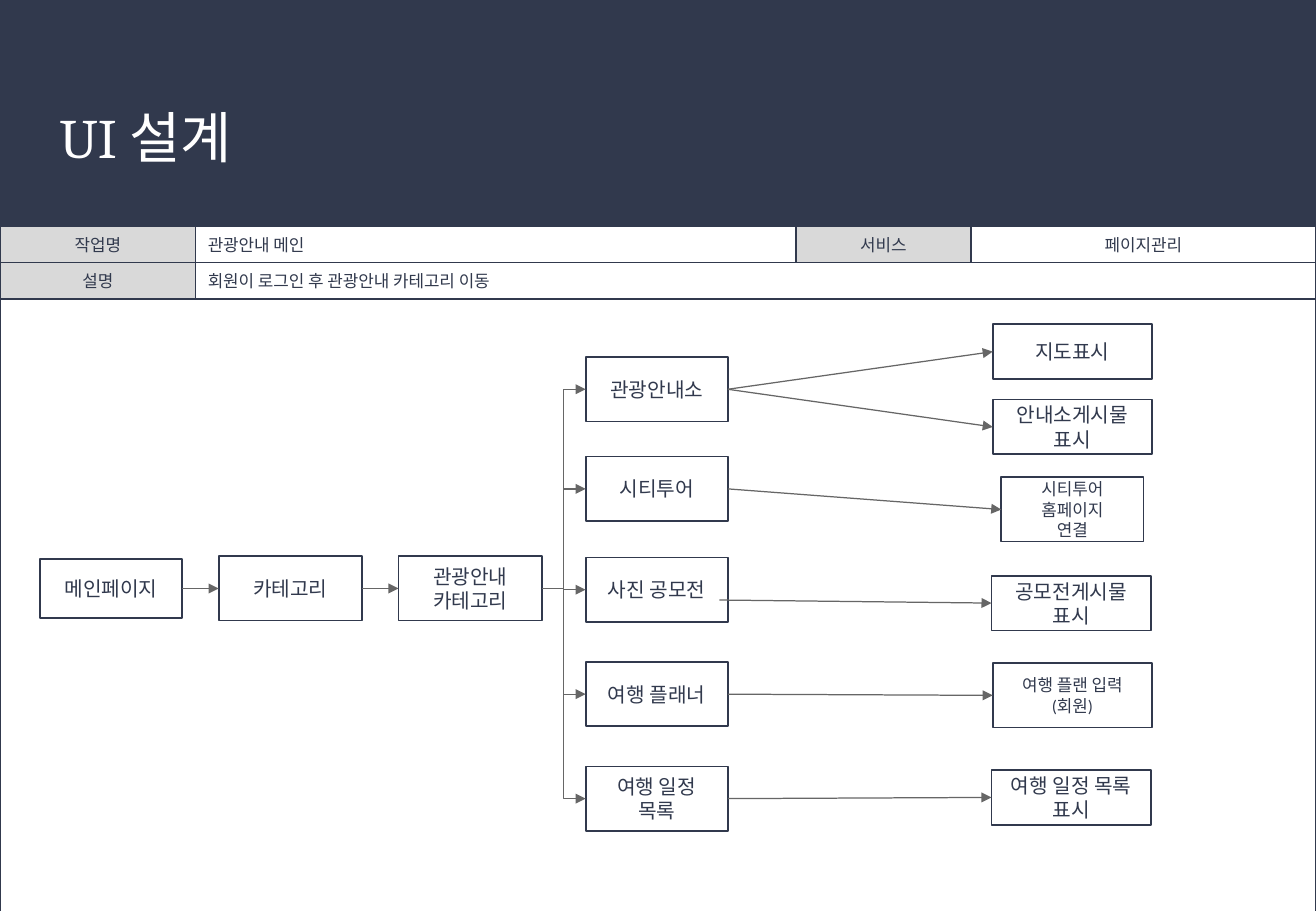
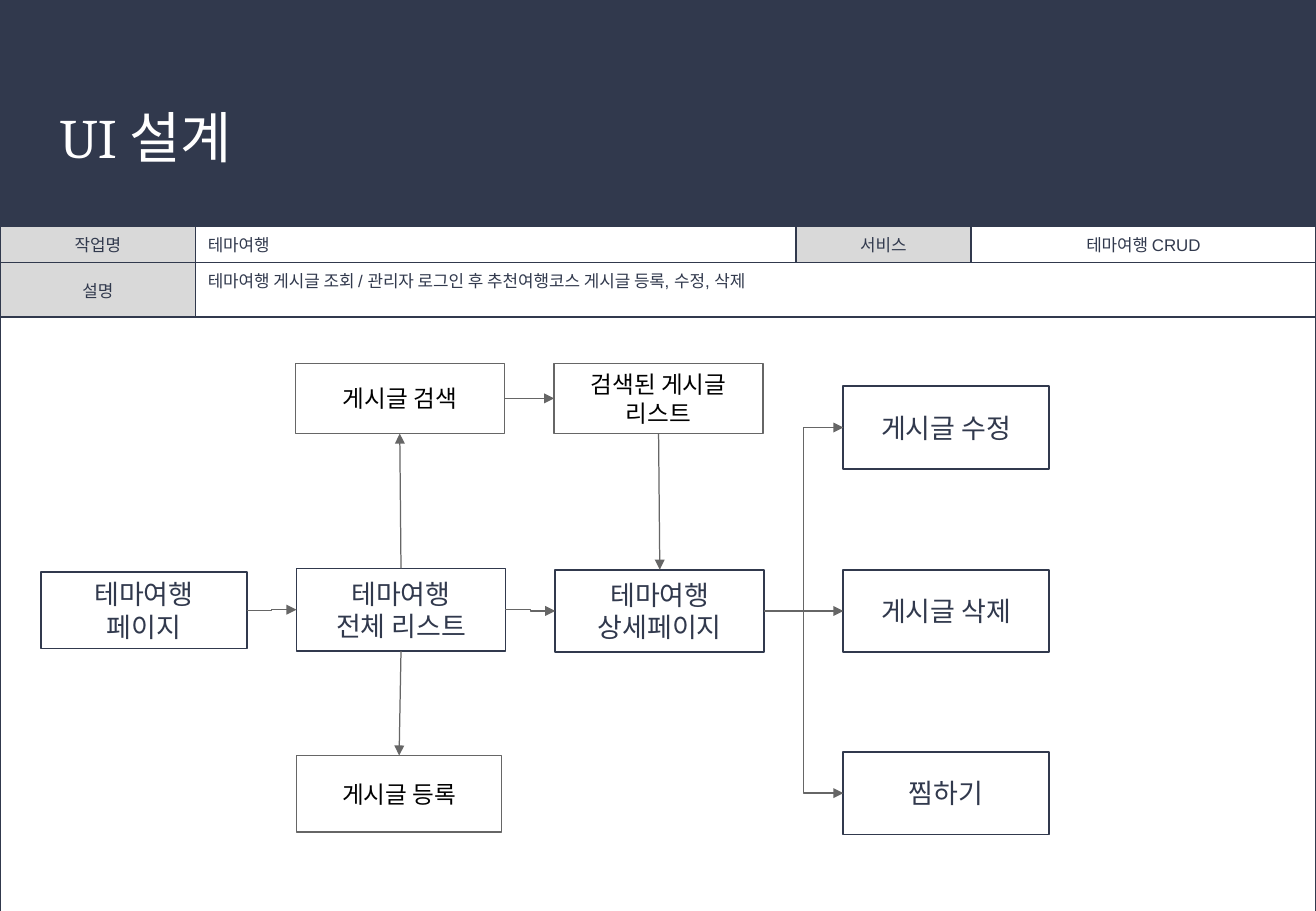
"""Builds two UI design slides, each with a task header table and a page flow."""
from dataclasses import dataclass

from lxml.etree import SubElement
from pptx import Presentation
from pptx.dml.color import RGBColor
from pptx.enum.shapes import MSO_CONNECTOR, MSO_SHAPE
from pptx.enum.text import MSO_ANCHOR, MSO_AUTO_SIZE, PP_ALIGN
from pptx.oxml import parse_xml
from pptx.oxml.ns import nsdecls, qn
from pptx.util import Inches, Pt


@dataclass(frozen=True)
class Theme:
    navy: str = "31394D"
    gray: str = "666666"
    label: str = "D9D9D9"
    white: str = "FFFFFF"
    black: str = "000000"
    title_font: str = "Cambria"
    table_font: str = "Arial"
    flow_font: str = "Calibri"
    title_size: float = 33
    table_size: float = 10
    rule: float = 1
    thin_rule: float = 0.75


@dataclass(frozen=True)
class BoxStyle:
    size: float
    font: str = Theme.flow_font
    ink: str = Theme.navy
    line: str = Theme.navy
    weight: float = Theme.rule
    fill: str = ""
    inset: float = 0.05


THEME = Theme()
SMALL, MEDIUM, LARGE = BoxStyle(10), BoxStyle(12), BoxStyle(16)
BOARD = BoxStyle(14, THEME.table_font, THEME.black, THEME.gray,
                 THEME.thin_rule, THEME.white, 0.1)

SLIDE_WIDTH, SLIDE_HEIGHT, BAND_HEIGHT = 10.83, 7.5, 1.86
TITLE = "UI 설계"
TABLE_COLUMNS = (1.61, 4.94, 1.44, 2.84)
TABLE_HEIGHT = 5.65

TOP, LEFT, BOTTOM, RIGHT = range(4)
ELBOW, STRAIGHT = MSO_CONNECTOR.ELBOW, MSO_CONNECTOR.STRAIGHT

PAGES = [
    {
        "header": ("관광안내 메인", "페이지관리", "회원이 로그인 후 관광안내 카테고리 이동"),
        "header_rows": (0.3, 0.3),
        "description_anchor": MSO_ANCHOR.MIDDLE,
        "columns": [
            (0.33, 1.17, 0.49, MEDIUM, {"메인페이지": 4.6}),
            (1.8, 1.18, 0.53, MEDIUM, {"카테고리": 4.58}),
            (3.28, 1.18, 0.53, MEDIUM, {"관광안내\n카테고리": 4.58}),
            (4.82, 1.17, 0.53, MEDIUM, {
                "관광안내소": 2.94, "시티투어": 3.76, "사진 공모전": 4.59,
                "여행 플래너": 5.45, "여행 일정 목록": 6.31}),
            (8.17, 1.31, 0.45, MEDIUM, {"지도표시": 2.67, "안내소게시물\n표시": 3.29}),
            (8.24, 1.17, 0.53, SMALL, {"시티투어\n홈페이지\n연결": 3.93}),
            (8.16, 1.31, 0.45, MEDIUM, {"공모전게시물\n표시": 4.74, "여행 일정 목록 표시": 6.34}),
            (8.17, 1.31, 0.53, SMALL, {"여행 플랜 입력(회원)": 5.46}),
        ],
        "links": [
            (ELBOW, RIGHT, LEFT, [
                ("메인페이지", ["카테고리"]),
                ("카테고리", ["관광안내\n카테고리"]),
                ("관광안내\n카테고리", ["관광안내소", "시티투어", "사진 공모전",
                                 "여행 플래너", "여행 일정 목록"])]),
            (STRAIGHT, RIGHT, LEFT, [
                ("관광안내소", ["지도표시", "안내소게시물\n표시"]),
                ("시티투어", ["시티투어\n홈페이지\n연결"]),
                ((5.92, 4.94), ["공모전게시물\n표시"]),
                ("여행 플래너", ["여행 플랜 입력(회원)"]),
                ("여행 일정 목록", ["여행 일정 목록 표시"])]),
        ],
    },
    {
        "header": ("테마여행", "테마여행 CRUD",
                   "테마여행 게시글 조회 / 관리자 로그인 후 추천여행코스 게시글 등록, 수정, 삭제"),
        "header_rows": (0.3, 0.45),
        "description_anchor": MSO_ANCHOR.TOP,
        "columns": [
            (0.34, 1.69, 0.63, LARGE, {"테마여행\n페이지": 4.71}),
            (2.44, 1.72, 0.68, LARGE, {"테마여행\n전체 리스트": 4.68}),
            (4.57, 1.72, 0.68, LARGE, {"테마여행 상세페이지": 4.69}),
            (6.94, 1.69, 0.68, LARGE, {"게시글 수정": 3.18, "게시글 삭제": 4.69, "찜하기": 6.19}),
            (2.43, 1.72, 0.58, BOARD, {"게시글 검색": 2.99}),
            (4.56, 1.72, 0.58, BOARD, {"검색된 게시글\n리스트": 2.99}),
            (2.44, 1.69, 0.63, BOARD, {"게시글 등록": 6.22}),
        ],
        "links": [
            (ELBOW, RIGHT, LEFT, [
                ("테마여행\n페이지", ["테마여행\n전체 리스트"]),
                ("테마여행\n전체 리스트", ["테마여행 상세페이지"]),
                ("테마여행 상세페이지", ["게시글 수정", "게시글 삭제", "찜하기"])]),
            (STRAIGHT, TOP, BOTTOM, [("테마여행\n전체 리스트", ["게시글 검색"])]),
            (STRAIGHT, BOTTOM, TOP, [
                ("테마여행\n전체 리스트", ["게시글 등록"]),
                ("검색된 게시글\n리스트", ["테마여행 상세페이지"])]),
            (STRAIGHT, RIGHT, LEFT, [("게시글 검색", ["검색된 게시글\n리스트"])]),
        ],
    },
]


def rgb(color):
    return RGBColor.from_string(color)


def write(frame, text, font, size, color, align):
    for index, line in enumerate(text.split("\n")):
        paragraph = frame.add_paragraph() if index else frame.paragraphs[0]
        paragraph.alignment = align
        run = paragraph.add_run()
        run.text = line
        run.font.name, run.font.size = font, Pt(size)
        run.font.color.rgb = rgb(color)


def set_insets(frame, across, down):
    frame.margin_left = frame.margin_right = Inches(across)
    frame.margin_top = frame.margin_bottom = Inches(down)


def prepare_layout(layout, slide):
    title = layout.placeholders[0]
    title.left, title.top = Inches(0.37), Inches(0.73)
    title.width, title.height = Inches(10.09), Inches(0.91)
    set_insets(title.text_frame, 0.12, 0.12)
    title.text_frame.vertical_anchor = MSO_ANCHOR.TOP
    title.text_frame.auto_size = MSO_AUTO_SIZE.NONE

    band = slide.shapes.add_shape(MSO_SHAPE.RECTANGLE, 0, 0,
                                  Inches(SLIDE_WIDTH), Inches(BAND_HEIGHT))
    band.shadow.inherit = False
    band.fill.solid()
    band.fill.fore_color.rgb = rgb(THEME.navy)
    band.line.fill.background()
    band.element.xpath("./p:nvSpPr/p:cNvPr")[0].set("id", "20")
    layout.shapes.element.insert(2, band.element)


def style_cell(cell, fill):
    if fill:
        cell.fill.solid()
        cell.fill.fore_color.rgb = rgb(fill)
    else:
        cell.fill.background()
    properties = cell._tc.get_or_add_tcPr()
    for index, side in enumerate(("lnL", "lnR", "lnT", "lnB")):
        properties.insert(index, parse_xml(
            f'<a:{side} {nsdecls("a")} w="{Pt(THEME.rule)}"><a:solidFill>'
            f'<a:srgbClr val="{THEME.navy}"/></a:solidFill></a:{side}>'))


def add_header(slide, page):
    task, service, description = page["header"]
    entries = {
        (0, 0): ("작업명", True, True), (0, 1): (task, False, False),
        (0, 2): ("서비스", True, True), (0, 3): (service, False, True),
        (1, 0): ("설명", True, True), (1, 1): (description, False, False),
    }
    rows = (*page["header_rows"], TABLE_HEIGHT - sum(page["header_rows"]))
    table = slide.shapes.add_table(
        len(rows), len(TABLE_COLUMNS), 0, Inches(BAND_HEIGHT),
        Inches(SLIDE_WIDTH), Inches(TABLE_HEIGHT)).table
    table.first_row = table.horz_banding = False
    for column, width in zip(table.columns, TABLE_COLUMNS):
        column.width = Inches(width)
    for row, height in zip(table.rows, rows):
        row.height = Inches(height)
    table.cell(1, 1).merge(table.cell(1, 3))
    table.cell(2, 0).merge(table.cell(2, 3))
    for row in range(len(rows)):
        for column in range(len(TABLE_COLUMNS)):
            cell = table.cell(row, column)
            text, is_label, centred = entries.get((row, column), ("", False, False))
            style_cell(cell, THEME.label if is_label else "")
            if text:
                cell.vertical_anchor = MSO_ANCHOR.MIDDLE
                write(cell.text_frame, text, THEME.table_font, THEME.table_size,
                      THEME.navy, PP_ALIGN.CENTER if centred else PP_ALIGN.LEFT)
    table.cell(1, 1).vertical_anchor = page["description_anchor"]


def add_box(slide, text, left, top, width, height, style):
    box = slide.shapes.add_shape(MSO_SHAPE.RECTANGLE, Inches(left), Inches(top),
                                 Inches(width), Inches(height))
    box.shadow.inherit = False
    if style.fill:
        box.fill.solid()
        box.fill.fore_color.rgb = rgb(style.fill)
    else:
        box.fill.background()
    box.line.color.rgb = rgb(style.line)
    box.line.width = Pt(style.weight)
    frame = box.text_frame
    frame.word_wrap = True
    frame.vertical_anchor = MSO_ANCHOR.MIDDLE
    set_insets(frame, 0.1, style.inset)
    write(frame, text, style.font, style.size, style.ink, PP_ALIGN.CENTER)
    return box


def add_arrow(slide, boxes, kind, begin, begin_site, end, end_site):
    is_point = isinstance(begin, tuple)
    x, y = begin if is_point else (0, 0)
    arrow = slide.shapes.add_connector(kind, Inches(x), Inches(y), Inches(x), Inches(y))
    if not is_point:
        arrow.begin_connect(boxes[begin], begin_site)
    arrow.end_connect(boxes[end], end_site)
    arrow.line.color.rgb = rgb(THEME.gray)
    arrow.line.width = Pt(THEME.thin_rule)
    SubElement(arrow.line._get_or_add_ln(), qn("a:tailEnd"), type="triangle")
    SubElement(arrow.element.spPr, qn("a:effectLst"))


def add_flow(slide, page):
    boxes = {
        text: add_box(slide, text, left, top, width, height, style)
        for left, width, height, style, tops in page["columns"]
        for text, top in tops.items()
    }
    for kind, begin_site, end_site, routes in page["links"]:
        for begin, ends in routes:
            for end in ends:
                add_arrow(slide, boxes, kind, begin, begin_site, end, end_site)


def main():
    deck = Presentation()
    deck.slide_width, deck.slide_height = Inches(SLIDE_WIDTH), Inches(SLIDE_HEIGHT)
    layout = deck.slide_layouts[5]
    for index, page in enumerate(PAGES):
        slide = deck.slides.add_slide(layout)
        if index == 0:
            prepare_layout(layout, slide)
        write(slide.shapes.title.text_frame, TITLE, THEME.title_font,
              THEME.title_size, THEME.white, PP_ALIGN.LEFT)
        add_header(slide, page)
        add_flow(slide, page)
    deck.save("out.pptx")


if __name__ == "__main__":
    main()
